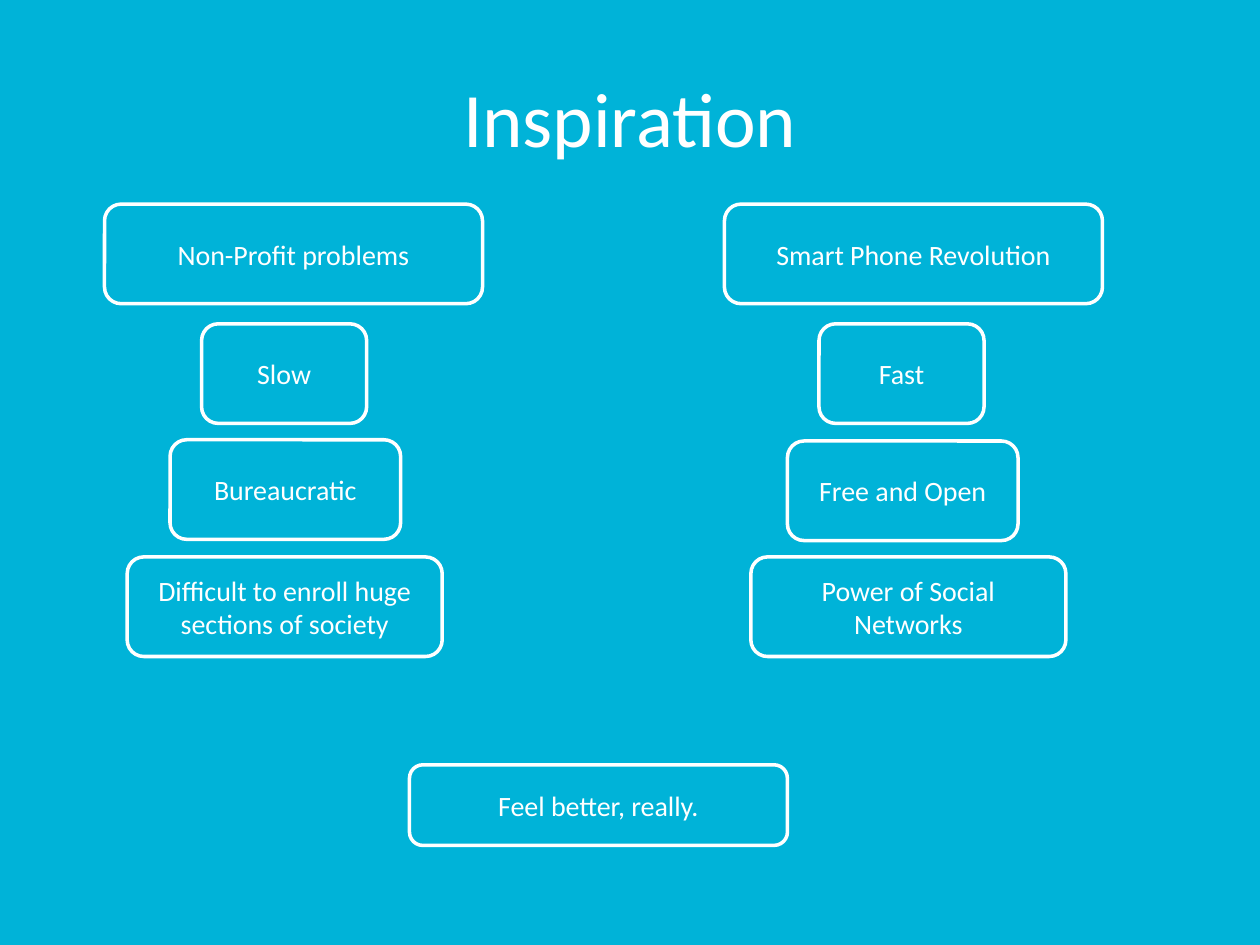
import pptx
import pptx.util
import pptx.dml.color
import pptx.enum.shapes
import pptx.enum.text

Inches = pptx.util.Inches
Pt = pptx.util.Pt
BLUE = pptx.dml.color.RGBColor(0x00, 0xB3, 0xD8)
WHITE = pptx.dml.color.RGBColor(0xFF, 0xFF, 0xFF)
FONT = "Calibri"


def format_text(tf, text, size):
    tf.text = text
    tf.word_wrap = True
    tf.vertical_anchor = pptx.enum.text.MSO_ANCHOR.MIDDLE
    p = tf.paragraphs[0]
    p.alignment = pptx.enum.text.PP_ALIGN.CENTER
    p.font.name = FONT
    p.font.size = Pt(size)
    p.font.color.rgb = WHITE


prs = pptx.Presentation()
prs.slide_width = Inches(10)
prs.slide_height = Inches(7.5)
s = prs.slides.add_slide(prs.slide_layouts[5])
s.background.fill.solid()
s.background.fill.fore_color.rgb = BLUE

title = s.shapes.title
title.left, title.top = Inches(0.5), Inches(0.3)
title.width, title.height = Inches(9), Inches(1.25)
format_text(title.text_frame, "Inspiration", 44)

boxes = [
    ("Non-Profit problems", 0.83, 1.62, 3, 0.79),
    ("Slow", 1.6, 2.57, 1.31, 0.79),
    ("Bureaucratic", 1.35, 3.49, 1.83, 0.79),
    ("Difficult to enroll huge sections of society", 1.01, 4.42, 2.5, 0.79),
    ("Smart Phone Revolution", 5.75, 1.62, 3, 0.79),
    ("Fast", 6.5, 2.57, 1.31, 0.79),
    ("Free and Open", 6.25, 3.5, 1.83, 0.79),
    ("Power of Social Networks", 5.96, 4.42, 2.5, 0.79),
    ("Feel better, really.", 3.25, 6.07, 3, 0.64),
]
for text, left, top, width, height in boxes:
    sp = s.shapes.add_shape(
        pptx.enum.shapes.MSO_SHAPE.ROUNDED_RECTANGLE,
        Inches(left), Inches(top), Inches(width), Inches(height),
    )
    sp.shadow.inherit = False
    sp.fill.background()
    sp.line.color.rgb = WHITE
    sp.line.width = Pt(2)
    format_text(sp.text_frame, text, 16)

prs.save("out.pptx")
